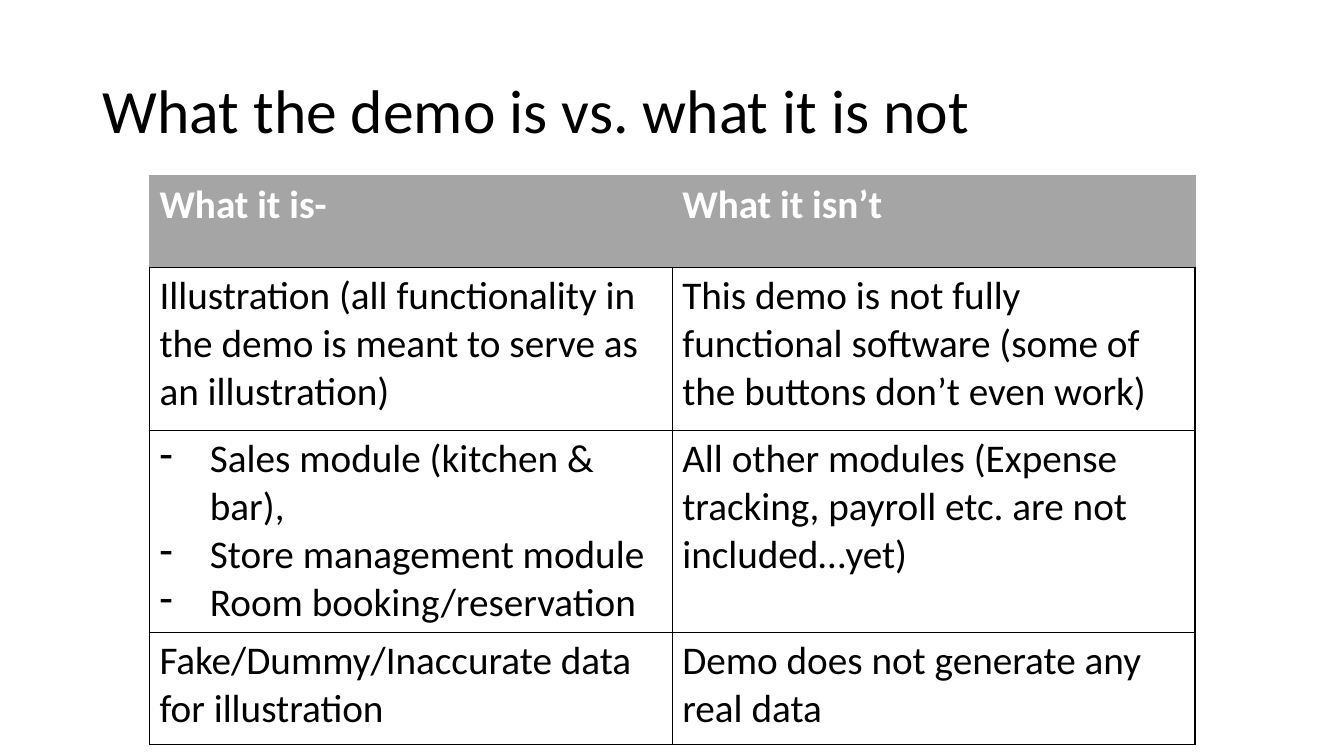
import pptx
import pptx.dml.color
import pptx.enum.text
import pptx.oxml
import pptx.oxml.ns
import pptx.util

BLACK = pptx.dml.color.RGBColor(0x00, 0x00, 0x00)
WHITE = pptx.dml.color.RGBColor(0xFF, 0xFF, 0xFF)
GRAY = pptx.dml.color.RGBColor(0xA5, 0xA5, 0xA5)

HEADINGS = ["What it is-", "What it isn’t"]
COMPARISONS = [
    ["Illustration (all functionality in the demo is meant to serve as an illustration)",
     "This demo is not fully functional software (some of the buttons don’t even work)"],
    [["Sales module (kitchen & bar),", "Store management module", "Room booking/reservation"],
     "All other modules (Expense tracking, payroll etc. are not included…yet)"],
    ["Fake/Dummy/Inaccurate data for illustration", "Demo does not generate any real data"],
]


class ComparisonSlide:
    """Holds the style and the slide; lengths are percentages of the slide."""

    font = "Calibri"
    title_size = 44
    table_size = 28

    def __init__(self, deck):
        self.deck = deck
        self.slide = deck.slides.add_slide(deck.slide_layouts[5])

    def across(self, percent):
        return round(self.deck.slide_width * percent / 100)

    def down(self, percent):
        return round(self.deck.slide_height * percent / 100)

    def style(self, paragraph, size, color, bold=False):
        for run in paragraph.runs:
            run.font.name = self.font
            run.font.size = pptx.util.Pt(size)
            run.font.bold = bold
            run.font.color.rgb = color

    def title(self, text, left, top, width, height):
        heading = self.slide.shapes.title
        heading.left, heading.top = self.across(left), self.down(top)
        heading.width, heading.height = self.across(width), self.down(height)
        frame = heading.text_frame
        frame.text = text
        frame.word_wrap = True
        frame.vertical_anchor = pptx.enum.text.MSO_ANCHOR.MIDDLE
        line = frame.paragraphs[0]
        line.alignment = pptx.enum.text.PP_ALIGN.LEFT
        line.line_spacing = 0.9
        self.style(line, self.title_size, BLACK)

    def table(self, rows, left, top, width, row_heights):
        grid = self.slide.shapes.add_table(
            len(rows), len(rows[0]), self.across(left), self.down(top),
            self.across(width), self.down(sum(row_heights))).table
        grid.horz_banding = False
        for row, height in zip(grid.rows, row_heights):
            row.height = self.down(height)
        for r, contents in enumerate(rows):
            for c, content in enumerate(contents):
                self.cell(grid.cell(r, c), content, is_header=r == 0)

    def cell(self, cell, content, is_header):
        bulleted = isinstance(content, list)
        cell.text_frame.text = "\n".join(content) if bulleted else content
        for paragraph in cell.text_frame.paragraphs:
            self.style(paragraph, self.table_size, WHITE if is_header else BLACK, is_header)
            if bulleted:
                self.dash(paragraph)
        if is_header:
            cell.fill.solid()
            cell.fill.fore_color.rgb = GRAY
        else:
            cell.fill.background()
        self.borders(cell, is_header)

    def dash(self, paragraph):
        indent = pptx.util.Inches(0.5)
        properties = paragraph._p.get_or_add_pPr()
        properties.set("marL", str(indent))
        properties.set("indent", str(-indent))
        properties.append(pptx.oxml.parse_xml(
            f'<a:buChar {pptx.oxml.ns.nsdecls("a")} char="-"/>'))

    def borders(self, cell, is_header):
        properties = cell._tc.get_or_add_tcPr()
        for position, side in enumerate("LRTB"):
            gray_edge = is_header and side != "B"
            color, points = (GRAY, 0.5) if gray_edge else (BLACK, 1)
            properties.insert(position, pptx.oxml.parse_xml(
                f'<a:ln{side} {pptx.oxml.ns.nsdecls("a")} w="{pptx.util.Pt(points)}">'
                f'<a:solidFill><a:srgbClr val="{color}"/></a:solidFill></a:ln{side}>'))


deck = pptx.Presentation()
deck.slide_width = pptx.util.Inches(13.33)
deck.slide_height = pptx.util.Inches(7.5)

# Heading
demo = ComparisonSlide(deck)
demo.title("What the demo is vs. what it is not", 6.9, 5.33, 86.25, 19.33)

# Comparison table
demo.table([HEADINGS] + COMPARISONS, 11.12, 23.25, 77.8, [12.1, 21.6, 21.6, 14.9])

deck.save("out.pptx")
